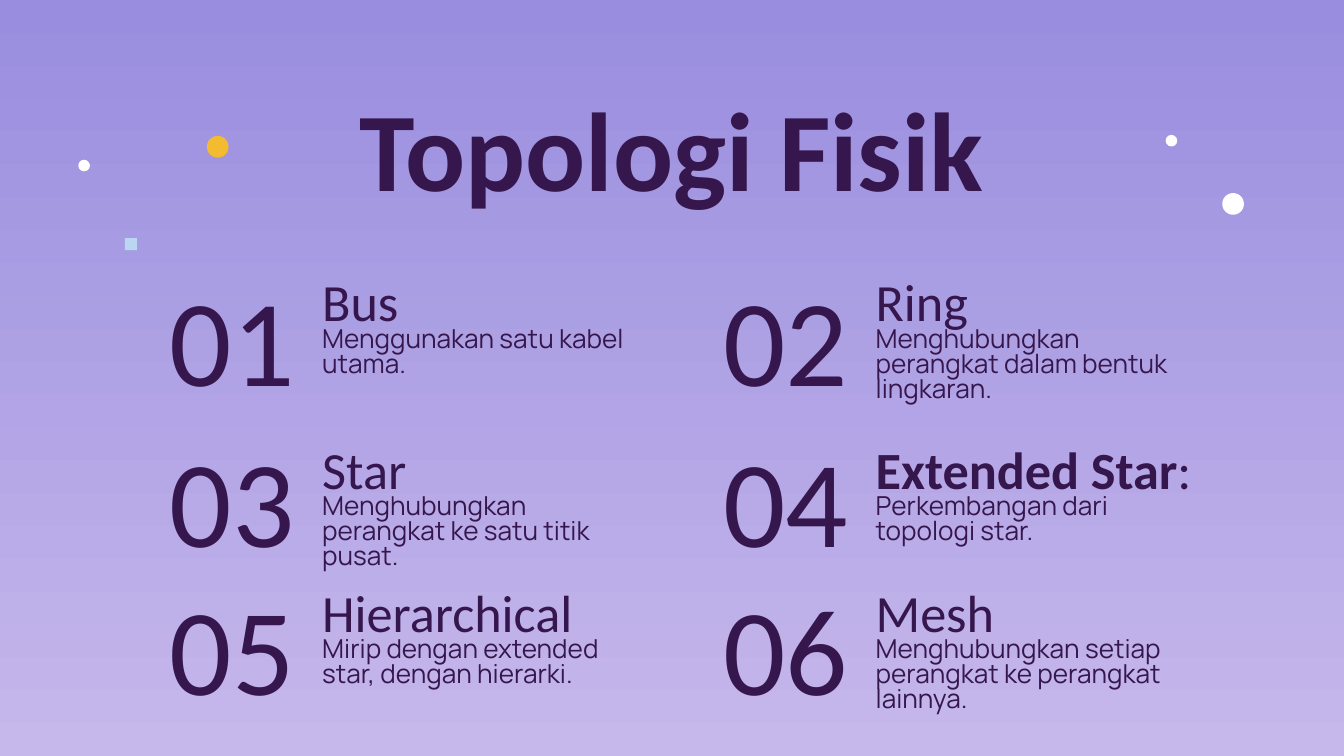
from pptx import Presentation
from pptx import util as u
from pptx.dml.color import RGBColor
from pptx.enum import shapes, text


def color(value):
    return RGBColor.from_string(value)


class SlideBuilder:
    ink = "36174D"
    heading_font = "Calibri"
    body_font = "Manrope"

    def __init__(self, presentation):
        self.slide = presentation.slides.add_slide(presentation.slide_layouts[5])

    def background(self, top, bottom):
        fill = self.slide.background.fill
        fill.gradient()
        fill.gradient_angle = 270
        for stop, value, position in zip(fill.gradient_stops, (top, bottom), (0, 1)):
            stop.color.rgb = color(value)
            stop.position = position

    def set_text(self, shape, runs, size, font, spacing, align=text.PP_ALIGN.LEFT,
                 anchor=text.MSO_ANCHOR.TOP, top=0.25, bottom=0.25):
        frame = shape.text_frame
        frame_format = {
            "word_wrap": True,
            "auto_size": text.MSO_AUTO_SIZE.NONE,
            "vertical_anchor": anchor,
            "margin_left": u.Cm(0.25),
            "margin_right": u.Cm(0.25),
            "margin_top": u.Cm(top),
            "margin_bottom": u.Cm(bottom),
        }
        for name, value in frame_format.items():
            setattr(frame, name, value)
        paragraph = frame.paragraphs[0]
        paragraph_format = {"alignment": align, "line_spacing": spacing, "space_before": u.Pt(0)}
        for name, value in paragraph_format.items():
            setattr(paragraph, name, value)
        for words, bold in runs:
            run = paragraph.add_run()
            run.text = words
            for name, value in {"name": font, "size": u.Pt(size), "bold": bold}.items():
                setattr(run.font, name, value)
            run.font.color.rgb = color(self.ink)

    def title(self, words, left, top, width, height):
        shape = self.slide.shapes.title
        for name, value in zip(("left", "top", "width", "height"), (left, top, width, height)):
            setattr(shape, name, u.Cm(value))
        self.set_text(shape, [(words, True)], 60, self.heading_font, 0.8, text.PP_ALIGN.CENTER)

    def box(self, left, top, width, height):
        return self.slide.shapes.add_textbox(u.Cm(left), u.Cm(top), u.Cm(width), u.Cm(height))

    def number(self, words, left, top):
        self.set_text(self.box(left, top, 3.61, 2.08), [(words, False)], 66, self.heading_font, 0.9,
                      text.PP_ALIGN.RIGHT, text.MSO_ANCHOR.MIDDLE, top=0.38, bottom=0.13)

    def heading(self, runs, left, top):
        self.set_text(self.box(left, top, 6.5, 1.09), runs, 28, self.heading_font, 0.9,
                      anchor=text.MSO_ANCHOR.BOTTOM, top=0.1, bottom=0.1)

    def body(self, words, left, top, width):
        self.set_text(self.box(left, top, width, 1.3), [(words, False)], 14, self.body_font, 0.8,
                      top=0.18)

    def dot(self, kind, left, top, size, fill):
        shape = self.slide.shapes.add_shape(kind, u.Cm(left), u.Cm(top), u.Cm(size), u.Cm(size))
        shape.shadow.inherit = False
        shape.fill.solid()
        shape.fill.fore_color.rgb = color(fill)
        shape.line.fill.background()


NUMBER_TOPS = (5.38, 8.43, 11.23)
HEADING_TOPS = (5.31, 8.48, 11.18)
COLUMN_STEP = 10.46

TOPOLOGIES = [
    ([("Bus", False)], "Menggunakan satu kabel utama.", 6.5),
    ([("Ring", False)], "Menghubungkan perangkat dalam bentuk lingkaran.", 6.5),
    ([("Star", False)], "Menghubungkan perangkat ke satu titik pusat.", 6.5),
    ([("Extended Star", True), (":", False)], "Perkembangan dari topologi star.", 6.5),
    ([("Hierarchical", False)], "Mirip dengan extended star, dengan hierarki.", 6.5),
    ([("Mesh", False)], "Menghubungkan setiap perangkat ke perangkat lainnya.", 7.19),
]

SQUARE = shapes.MSO_SHAPE.RECTANGLE
CIRCLE = shapes.MSO_SHAPE.OVAL
DOTS = [
    (SQUARE, 2.36, 4.5, 0.23, "BAD6F1"),
    (CIRCLE, 1.48, 3.02, 0.22, "FFFFFF"),
    (CIRCLE, 22.03, 2.55, 0.22, "FFFFFF"),
    (CIRCLE, 23.1, 3.65, 0.41, "FFFFFF"),
    (CIRCLE, 3.91, 2.57, 0.41, "F3BB30"),
]


def main():
    presentation = Presentation()
    presentation.slide_width = u.Cm(25.4)
    presentation.slide_height = u.Cm(14.29)
    builder = SlideBuilder(presentation)
    builder.background("998DDF", "C6B8EB")
    builder.title("Topologi Fisik", 4.57, 1.75, 16.26, 2.03)
    for dot in DOTS:
        builder.dot(*dot)
    for index, (heading, description, width) in enumerate(TOPOLOGIES):
        row, column = divmod(index, 2)
        offset = column * COLUMN_STEP
        builder.number(f"{index + 1:02}", 2.21 + offset, NUMBER_TOPS[row])
        builder.body(description, 5.84 + offset, HEADING_TOPS[row] + 0.71, width)
        builder.heading(heading, 5.84 + offset, HEADING_TOPS[row])
    presentation.save("out.pptx")


if __name__ == "__main__":
    main()
